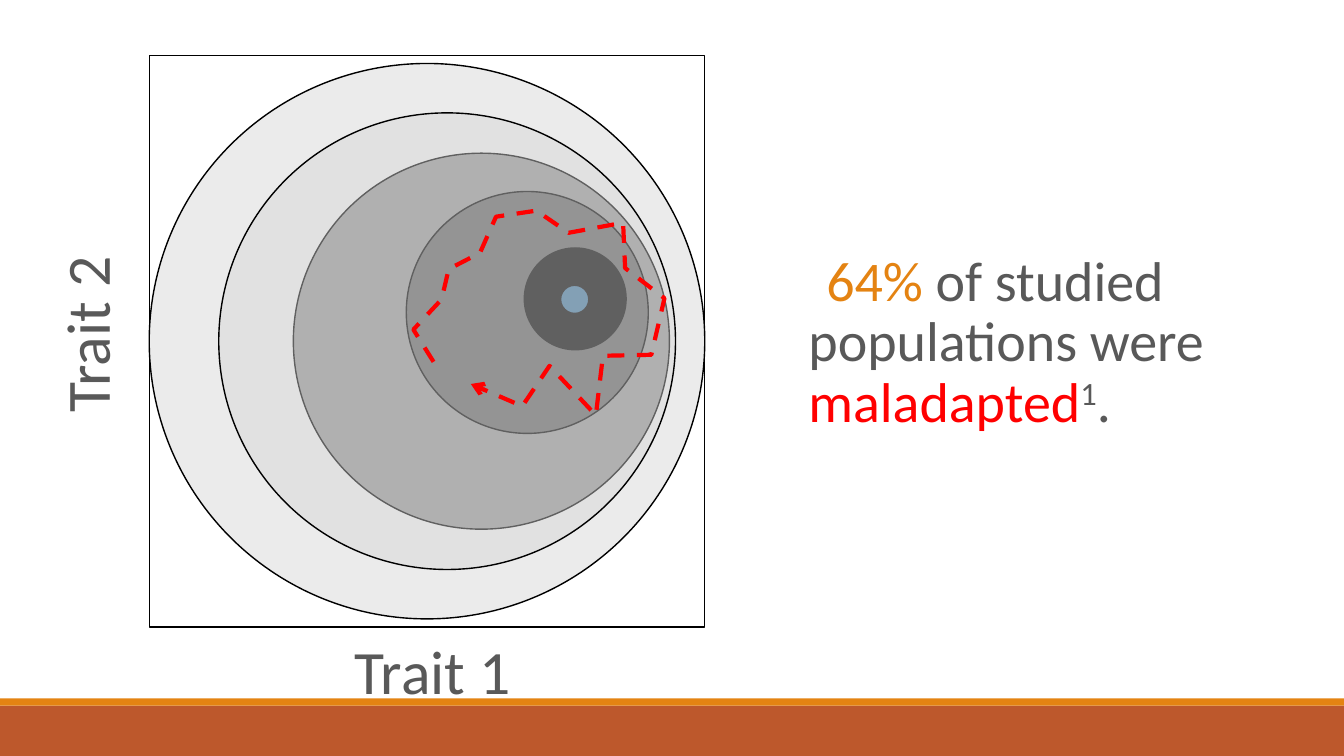
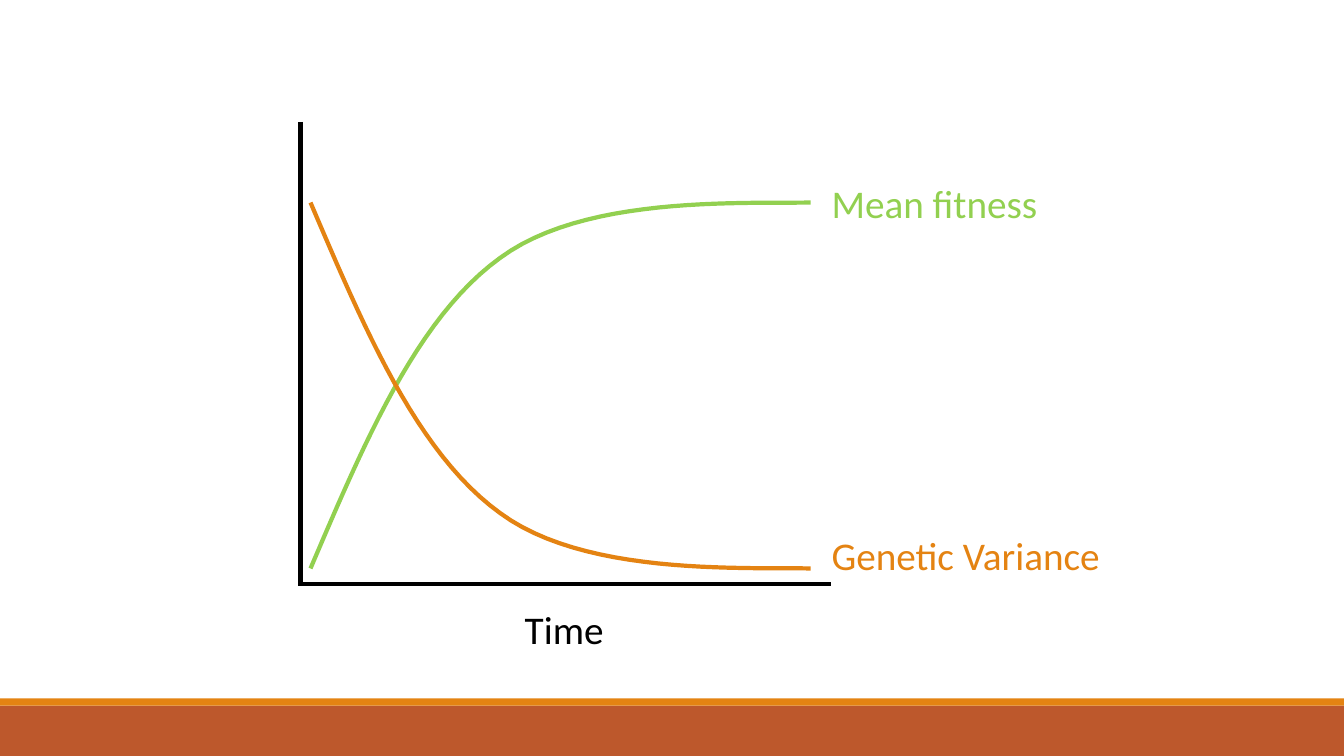
from lxml import etree
from pptx import Presentation
from pptx.dml.color import RGBColor
from pptx.enum.dml import MSO_LINE
from pptx.enum.shapes import MSO_CONNECTOR, MSO_SHAPE
from pptx.enum.text import PP_ALIGN
from pptx.oxml.ns import qn
from pptx.util import Inches, Pt

COLORS = {
    "band": "BD582C", "orange": "E48312", "green": "92D050", "red": "FF0000",
    "text": "595959", "black": "000000", "optimum": "40749B",
    "ring_outer": "EBEBEB", "ring_veil": "D6D6D6",
    "ring_middle": "929292", "ring_inner": "5E5E5E",
}
COLORS = {name: RGBColor.from_string(value) for name, value in COLORS.items()}


def add_label(page, place, spans, size, align=PP_ALIGN.LEFT):
    """Add a text box; spans are (text, colour name) pairs. Returns the box and its runs."""
    box = page.shapes.add_textbox(*map(Inches, place))
    box.text_frame.word_wrap = True
    para = box.text_frame.paragraphs[0]
    para.alignment = align
    runs = []
    for text, color in spans:
        span = para.add_run()
        span.text = text
        for key, value in {"name": "Calibri", "size": Pt(size)}.items():
            setattr(span.font, key, value)
        span.font.color.rgb = COLORS[color]
        runs.append(span)
    return box, runs


def add_path(page, points, color):
    """Add an open, unfilled 3 pt outline through points given in inches."""
    points = [(Inches(x), Inches(y)) for x, y in points]
    builder = page.shapes.build_freeform(*points[0])
    builder.add_line_segments(points[1:], close=False)
    path_shape = builder.convert_to_shape()
    path_shape.shadow.inherit = False
    path_shape.fill.background()
    path_shape.line.color.rgb = COLORS[color]
    path_shape.line.width = Pt(3)
    return path_shape


deck = Presentation()
deck.slide_width, deck.slide_height = Inches(13.33), Inches(7.5)
blank = deck.slide_layouts[6]
landscape, trend = [deck.slides.add_slide(blank) for _ in range(2)]

# Footer bands, moved to the master so that every slide shows them
for number, (top, height, color) in enumerate([(7, 0.5, "band"), (6.93, 0.07, "orange")]):
    band = landscape.shapes.add_shape(
        MSO_SHAPE.RECTANGLE, 0, Inches(top), deck.slide_width, Inches(height))
    band.shadow.inherit = False
    band.fill.solid()
    band.fill.fore_color.rgb = COLORS[color]
    band.line.fill.background()
    band.element.nvSpPr.cNvPr.id = 100 + number
    deck.slide_master.element.cSld.spTree.append(band.element)

# Slide 1: fitness landscape, back to front
OVAL, RECTANGLE = MSO_SHAPE.OVAL, MSO_SHAPE.RECTANGLE
for kind, left, top, width, height, color in [
    (OVAL, 1.48, 0.63, 5.51, 5.51, "ring_outer"),
    (OVAL, 2.91, 1.52, 3.73, 3.73, "ring_middle"),
    (OVAL, 4.03, 1.9, 2.4, 2.4, "ring_inner"),
    (RECTANGLE, 1.48, 0.55, 5.51, 5.67, None),
    (OVAL, 5.2, 2.46, 1.01, 1.01, "black"),
    (OVAL, 5.56, 2.83, 0.28, 0.28, "optimum"),
    (OVAL, 2.17, 1.12, 4.53, 4.53, "ring_veil"),
]:
    ring = landscape.shapes.add_shape(kind, *map(Inches, (left, top, width, height)))
    ring.shadow.inherit = False
    ring.line.color.rgb = COLORS["black"]
    ring.line.width = Pt(1)
    if color is None:
        ring.fill.background()
        continue
    ring.fill.solid()
    ring.fill.fore_color.rgb = COLORS[color]
    if color == "ring_veil":
        tint = ring.element.spPr.find(qn("a:solidFill")).find(qn("a:srgbClr"))
        etree.SubElement(tint, qn("a:alpha"), val="45000")

walk = add_path(landscape, [
    (4.3, 3.59), (4.1, 3.27), (4.38, 2.97), (4.45, 2.67), (4.76, 2.51), (4.92, 2.15),
    (5.32, 2.09), (5.64, 2.31), (6.18, 2.21), (6.2, 2.66), (6.59, 2.96), (6.46, 3.52),
    (5.98, 3.53), (5.91, 4.12), (5.45, 3.63), (5.18, 4.03), (4.67, 3.81)], "red")
walk.line.dash_style = MSO_LINE.DASH
etree.SubElement(walk.element.spPr.find(qn("a:ln")), qn("a:tailEnd"), type="arrow")

finding, runs = add_label(landscape, (7.82, 2.46, 5.3, 2.1), [
    ("64%", "orange"), (" of studied populations were ", "text"),
    ("maladapted", "red"), ("1", "text"), (".", "text")], 40)
runs[3].font._element.set("baseline", "30000")
para = finding.text_frame.paragraphs[0]
for key, value in {"line_spacing": 0.9, "space_before": Pt(12), "space_after": Pt(2)}.items():
    setattr(para, key, value)
properties = para._p.get_or_add_pPr()
properties.set("marL", str(Inches(0.1)))
properties.set("indent", str(-Inches(0.1)))
etree.SubElement(properties, qn("a:buChar"), char=" ")

for text, left, top, rotation in [("Trait 1", 3.35, 6.23, 0), ("Trait 2", -0.09, 2.9, 270)]:
    axis_title, _ = add_label(
        landscape, (left, top, 1.88, 0.84), [(text, "text")], 44, PP_ALIGN.CENTER)
    axis_title.rotation = rotation

# Slide 2: fitness and variance over time
for ends in [(2.98, 1.21, 2.98, 5.79), (8.24, 5.79, 2.96, 5.79)]:
    axis = trend.shapes.add_connector(MSO_CONNECTOR.STRAIGHT, *map(Inches, ends))
    axis.line.color.rgb = COLORS["black"]
    axis.line.width = Pt(3)
    etree.SubElement(axis.element.spPr, qn("a:effectLst"))

# Two joined cubic curves; the variance curve is the fitness curve turned upside down
CONTROLS = [(3.08, 5.64), (3.61, 4.4), (4.13, 3.16), (4.96, 2.56),
            (5.78, 1.95), (7.29, 2.02), (8.04, 2.01)]
STEPS = 24
rising = [CONTROLS[0]]
for first in (0, 3):
    for step in range(1, STEPS + 1):
        t = step / STEPS
        weights = ((1 - t) ** 3, 3 * t * (1 - t) ** 2, 3 * t ** 2 * (1 - t), t ** 3)
        rising.append(tuple(
            sum(weight * point[axis_index]
                for weight, point in zip(weights, CONTROLS[first:first + 4]))
            for axis_index in (0, 1)))
mirror = CONTROLS[0][1] + CONTROLS[-1][1]
falling = [(x, mirror - y) for x, y in rising]

for text, color, points, top in [("Mean fitness", "green", rising, 1.73),
                                 ("Genetic Variance", "orange", falling, 5.22)]:
    add_path(trend, points, color)
    add_label(trend, (8.15, top, 2.9, 0.57), [(text, color)], 28)
add_label(trend, (4.75, 5.96, 1.69, 0.57), [("Time", "black")], 28, PP_ALIGN.CENTER)

deck.save("out.pptx")
